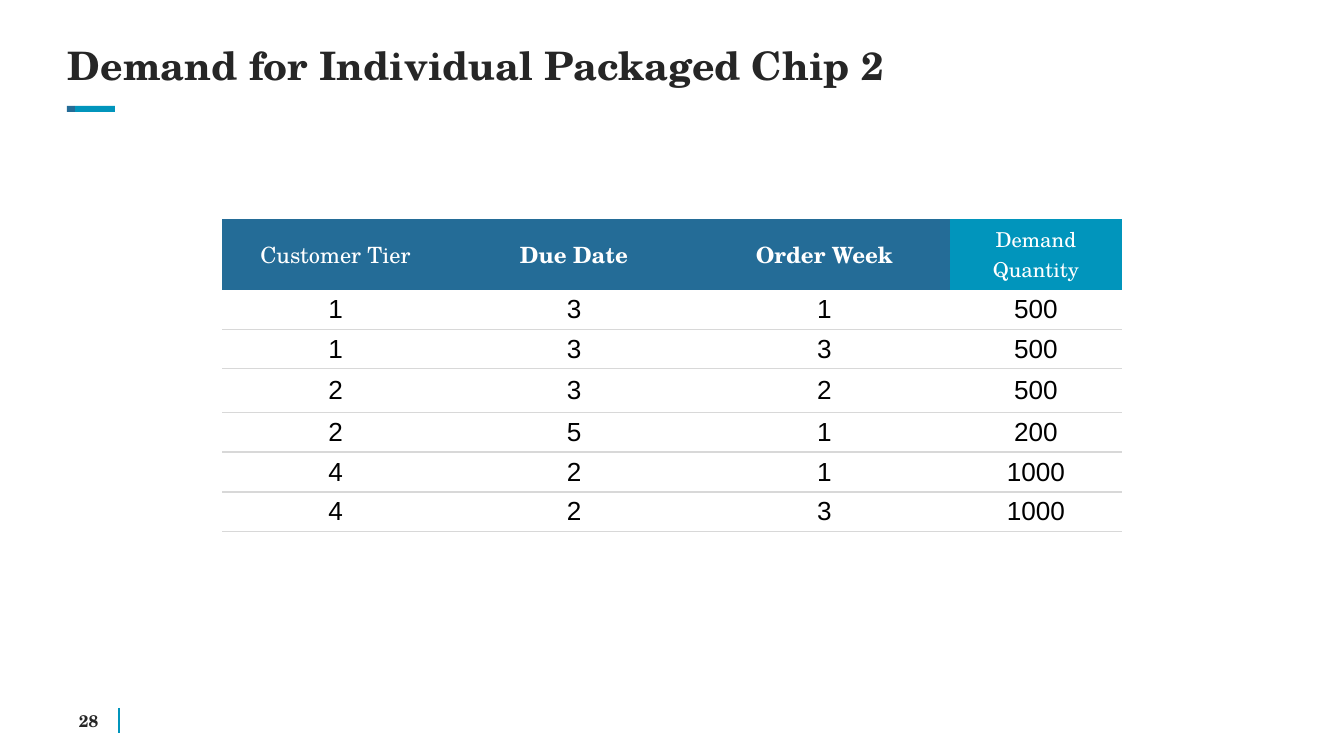
from dataclasses import dataclass

from lxml.etree import SubElement
from pptx import Presentation
from pptx.dml.color import RGBColor as Rgb
from pptx.enum.shapes import MSO_CONNECTOR as Link
from pptx.enum.shapes import MSO_SHAPE as Form
from pptx.enum.text import MSO_ANCHOR as Anchor
from pptx.enum.text import MSO_AUTO_SIZE as Fit
from pptx.enum.text import PP_ALIGN as Align
from pptx.oxml import parse_xml
from pptx.oxml.ns import nsdecls, qn
from pptx.util import Emu, Pt

SCALE = 914400 / 134.4
SERIF = "TeX Gyre Schola"
SANS = "Arial"
PLAIN = "{2D5ABB26-0587-4C30-8999-92F81FD0307C}"
HUES = {
    "ink": "262626",
    "black": "000000",
    "white": "FFFFFF",
    "navy": "246C97",
    "teal": "0195BC",
    "rule": "D8D8D8",
}


@dataclass(frozen=True)
class Box:
    left: int
    top: int
    width: int
    height: int


@dataclass(frozen=True)
class Style:
    size: int
    hue: str
    face: str = SERIF
    bold: bool = False


@dataclass(frozen=True)
class Head:
    text: str
    width: int
    fill: str
    style: Style


HEADS = [
    Head("Customer Tier", 227, "navy", Style(12, "white")),
    Head("Due Date", 250, "navy", Style(12, "white", bold=True)),
    Head("Order Week", 251, "navy", Style(12, "white", bold=True)),
    Head("Demand Quantity", 172, "teal", Style(11, "white")),
]
ROWS = [
    (1, 3, 1, 500),
    (1, 3, 3, 500),
    (2, 3, 2, 500),
    (2, 5, 1, 200),
    (4, 2, 1, 1000),
    (4, 2, 3, 1000),
]
HEIGHTS = [71, 39, 39, 44, 39, 40, 39]
BODY = Style(14, "black", SANS)
BARS = [(Box(75, 106, 40, 6), "teal"), (Box(67, 106, 8, 6), "navy")]


def px(count: int) -> Emu:
    return Emu(round(count * SCALE))


def span(box: Box) -> tuple:
    return px(box.left), px(box.top), px(box.width), px(box.height)


def color(hue: str) -> Rgb:
    return Rgb.from_string(HUES[hue])


def write(frame, text: str, style: Style, align: Align) -> None:
    para = frame.paragraphs[0]
    para.alignment = align
    run = para.add_run()
    run.text = text
    font = run.font
    font.name, font.size, font.bold = style.face, Pt(style.size), style.bold
    font.color.rgb = color(style.hue)


def clear(frame) -> None:
    frame.margin_left = frame.margin_right = 0
    frame.margin_top = frame.margin_bottom = 0
    frame.word_wrap = True
    frame.vertical_anchor = Anchor.MIDDLE


def draw_title(slide, box: Box, text: str) -> None:
    title = slide.shapes.title
    title.left, title.top, title.width, title.height = span(box)
    frame = title.text_frame
    clear(frame)
    frame.auto_size = Fit.NONE
    write(frame, text, Style(21, "ink", bold=True), Align.LEFT)
    frame.paragraphs[0].line_spacing = 0.9


def draw_bar(slide, box: Box, hue: str) -> None:
    bar = slide.shapes.add_shape(Form.RECTANGLE, *span(box))
    bar.shadow.inherit = False
    bar.fill.solid()
    bar.fill.fore_color.rgb = color(hue)
    bar.line.fill.background()


def draw_foot(slide, box: Box, text: str) -> None:
    frame = slide.shapes.add_textbox(*span(box)).text_frame
    clear(frame)
    write(frame, text, Style(9, "ink", bold=True), Align.CENTER)
    line = slide.shapes.add_connector(
        Link.STRAIGHT, px(119), px(708), px(119), px(733)
    )
    line.line.color.rgb = color("teal")
    line.line.width = Pt(1)
    SubElement(line.element.spPr, qn("a:effectLst"))


def fill_cell(cell, text: str, fill: str, style: Style) -> None:
    cell.margin_left = cell.margin_right = px(11)
    cell.margin_top = cell.margin_bottom = px(4)
    cell.vertical_anchor = Anchor.MIDDLE
    cell.fill.solid()
    cell.fill.fore_color.rgb = color(fill)
    write(cell.text_frame, text, style, Align.CENTER)


def rule_cell(cell) -> None:
    edge = parse_xml(
        f'<a:lnB {nsdecls("a")} w="{Pt(0.75)}"><a:solidFill>'
        f'<a:srgbClr val="{HUES["rule"]}"/></a:solidFill></a:lnB>'
    )
    cell._tc.get_or_add_tcPr().insert(0, edge)


def draw_grid(slide, left: int, top: int) -> None:
    box = Box(left, top, sum(head.width for head in HEADS), sum(HEIGHTS))
    frame = slide.shapes.add_table(len(HEIGHTS), len(HEADS), *span(box))
    grid = frame.table
    grid.first_row = grid.horz_banding = False
    grid._tbl.tblPr.find(qn("a:tableStyleId")).text = PLAIN
    for row, height in zip(grid.rows, HEIGHTS):
        row.height = px(height)
    for col, head in enumerate(HEADS):
        grid.columns[col].width = px(head.width)
        fill_cell(grid.cell(0, col), head.text, head.fill, head.style)
    for row, values in enumerate(ROWS, 1):
        for col, value in enumerate(values):
            cell = grid.cell(row, col)
            fill_cell(cell, str(value), "white", BODY)
            rule_cell(cell)


def main() -> None:
    deck = Presentation()
    deck.slide_width, deck.slide_height = px(1344), px(756)
    slide = deck.slides.add_slide(deck.slide_layouts[5])
    for box, hue in BARS:
        draw_bar(slide, box, hue)
    draw_foot(slide, Box(69, 710, 39, 22), "28")
    draw_grid(slide, 222, 219)
    draw_title(
        slide, Box(68, 46, 1207, 43), "Demand for Individual Packaged Chip 2"
    )
    deck.save("out.pptx")


if __name__ == "__main__":
    main()
